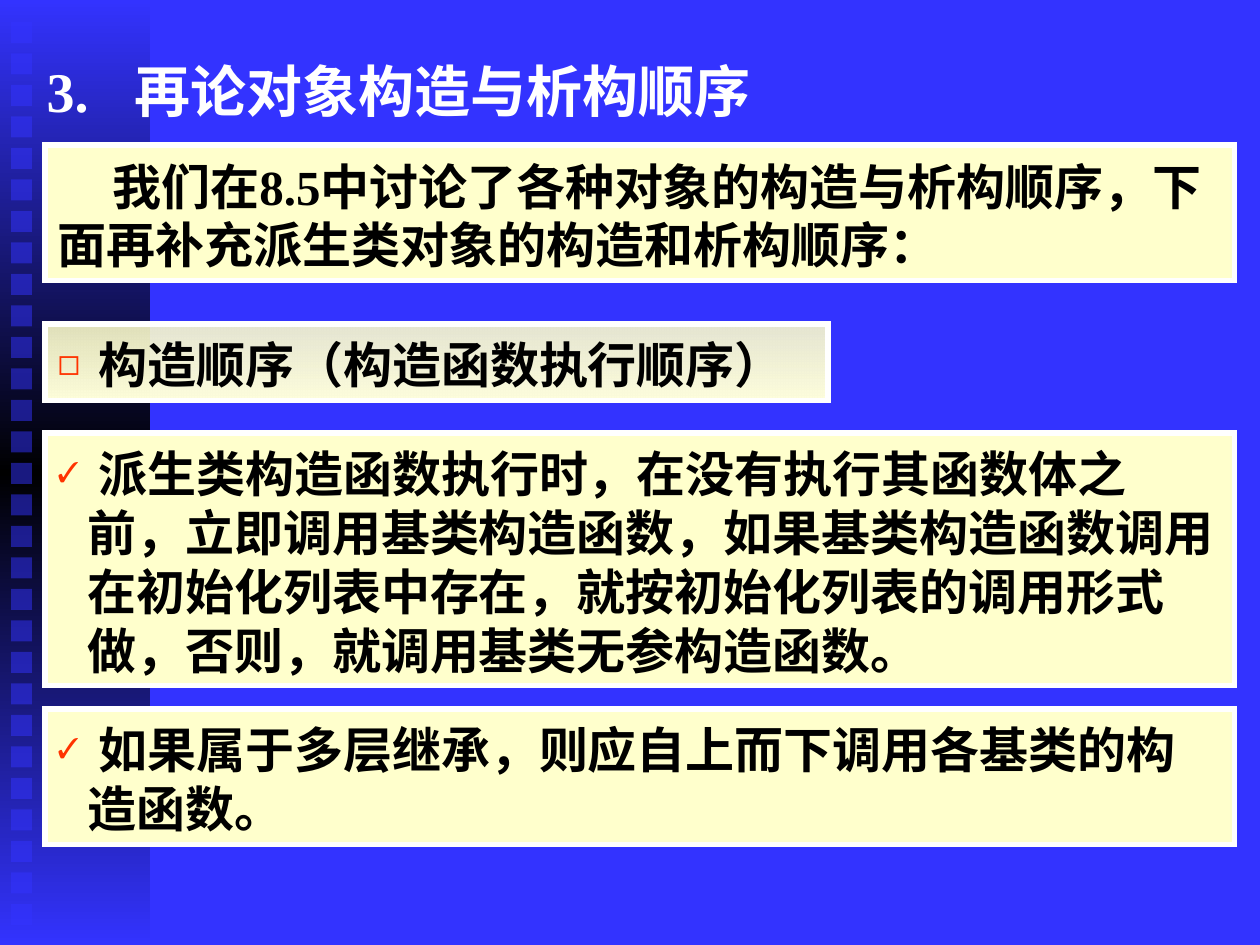
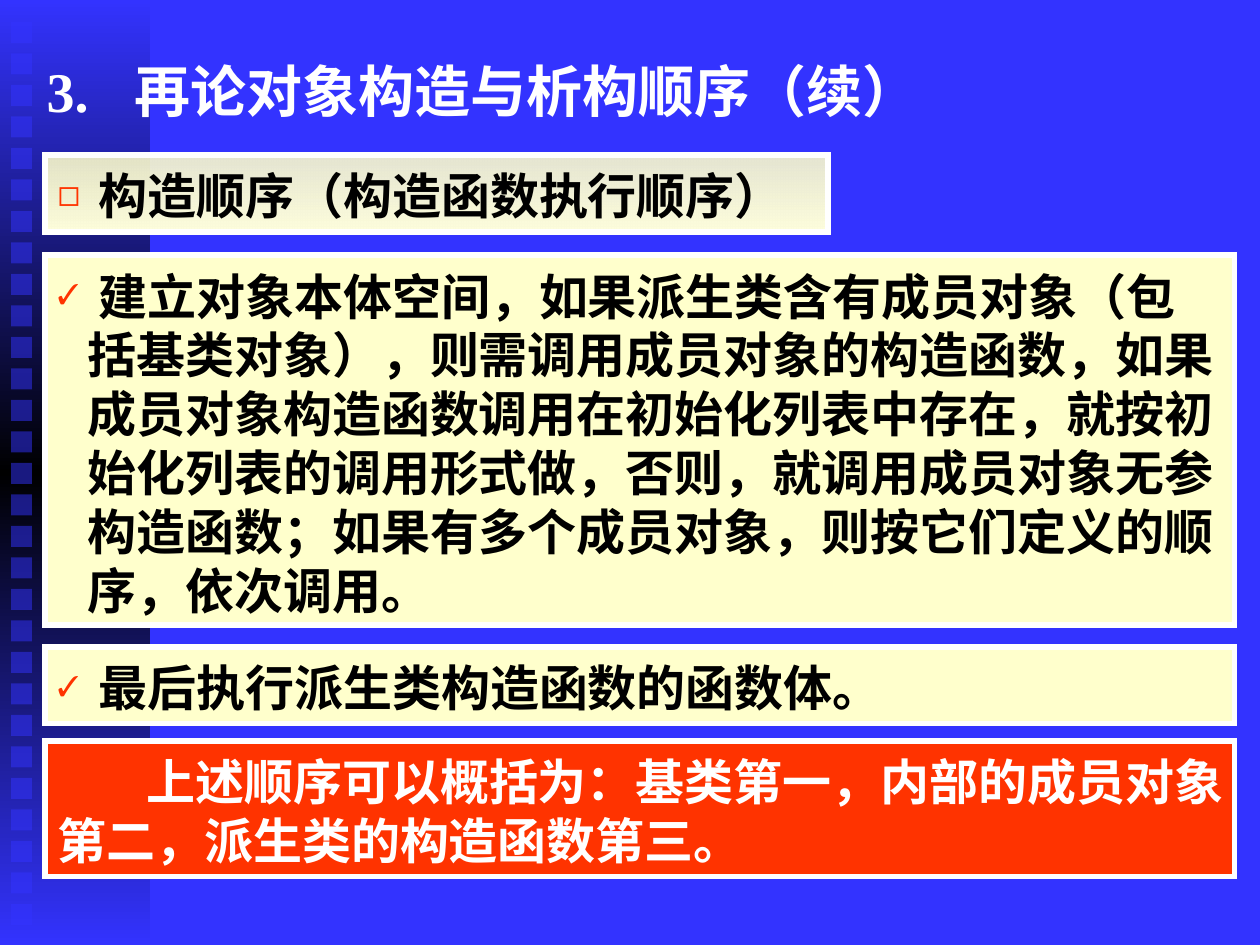
"""Builds two slides on the order in which objects are constructed."""
from dataclasses import dataclass

from lxml import etree
from pptx import Presentation
from pptx.dml.color import RGBColor
from pptx.enum.lang import MSO_LANGUAGE_ID
from pptx.enum.shapes import MSO_SHAPE
from pptx.enum.text import MSO_ANCHOR, MSO_AUTO_SIZE, PP_ALIGN
from pptx.oxml.ns import qn
from pptx.util import Emu, Pt

RECTANGLE = MSO_SHAPE.RECTANGLE
TOP, MIDDLE = MSO_ANCHOR.TOP, MSO_ANCHOR.MIDDLE
LEFT = PP_ALIGN.LEFT
NO_AUTOFIT = MSO_AUTO_SIZE.NONE
CHINESE = MSO_LANGUAGE_ID.SIMPLIFIED_CHINESE
TITLE_ONLY = 5
EMU_PER_PX = 914400 // 126


@dataclass(frozen=True)
class Theme:
    font: str = "Times New Roman"
    blue: str = "3333FF"
    black: str = "000000"
    white: str = "FFFFFF"
    cream: str = "FFFFCC"
    pale_cream: str = "FFFFDB"
    red: str = "FF3300"
    title_size: int = 32
    body_size: int = 28
    border: int = 3


THEME = Theme()

SLIDE_SIZE = (1260, 945)
BAND = (0, 0, 150, 945)
SQUARE_COUNT, SQUARE_LEFT, SQUARE_TOP, SQUARE_SIZE, SQUARE_STEP = 29, 11, 22, 21, 31.5
TITLE = (34, 33, 1181, 115)
TITLE_GAP = 18.3
BOX_LEFT, FIRST_LINE_HEIGHT, LINE_HEIGHT = 45, 77, 58.6

STYLES = {
    "intro": dict(width=1190, fill=THEME.cream, color=THEME.black, text=dict(indent=55)),
    "heading": dict(width=783, color=THEME.black,
                    gradient=[(0, THEME.cream, 87), (100, THEME.pale_cream, 100)],
                    text=dict(bullet="◻", bullet_percent=75, margin=30, indent=-30)),
    "point": dict(width=1190, fill=THEME.cream, color=THEME.black,
                  text=dict(bullet="✓", bullet_percent=58, margin=30, indent=-30,
                            inset_right=15)),
    "summary": dict(width=1190, fill=THEME.red, color=THEME.white,
                    text=dict(indent=89, inset_right=8)),
}

NUMBER = "3."
HEADING = " 构造顺序（构造函数执行顺序）"
SLIDES = [
    ("再论对象构造与析构顺序", [
        ("intro", 145, 2, "我们在8.5中讨论了各种对象的构造与析构顺序，"
                          "下面再补充派生类对象的构造和析构顺序："),
        ("heading", 324, 1, HEADING),
        ("point", 433, 4, " 派生类构造函数执行时，在没有执行其函数体之前，立即调用基类构造函数，"
                          "如果基类构造函数调用在初始化列表中存在，就按初始化列表的调用形式做，"
                          "否则，就调用基类无参构造函数。"),
        ("point", 709, 2, " 如果属于多层继承，则应自上而下调用各基类的构造函数。"),
    ]),
    ("再论对象构造与析构顺序（续）", [
        ("heading", 155, 1, HEADING),
        ("point", 255, 6, " 建立对象本体空间，如果派生类含有成员对象（包括基类对象），"
                          "则需调用成员对象的构造函数，如果成员对象构造函数调用在初始化列表中存在，"
                          "就按初始化列表的调用形式做，否则，就调用成员对象无参构造函数；"
                          "如果有多个成员对象，则按它们定义的顺序，依次调用。"),
        ("point", 647, 1, " 最后执行派生类构造函数的函数体。"),
        ("summary", 741, 2, "上述顺序可以概括为：基类第一，内部的成员对象第二，"
                            "派生类的构造函数第三。"),
    ]),
]


def px(length):
    return Emu(round(length * EMU_PER_PX))


def rgb(code):
    return RGBColor.from_string(code)


def add_child(parent, tag, **attributes):
    return etree.SubElement(parent, qn(tag), {key: str(value) for key, value in attributes.items()})


def set_alpha(color_element, percent):
    if percent < 100:
        add_child(color_element, "a:alpha", val=percent * 1000)


def set_gradient(shape, stops):
    shape.fill.gradient()
    shape.fill.gradient_angle = 270
    stop_list = shape.element.find(".//" + qn("a:gsLst"))
    for stop in list(stop_list):
        stop_list.remove(stop)
    for position, color, alpha in stops:
        stop = add_child(stop_list, "a:gs", pos=position * 1000)
        set_alpha(add_child(stop, "a:srgbClr", val=color), alpha)


def add_rectangle(slide, box, fill=None, gradient=None, alpha=100, border=None):
    shape = slide.shapes.add_shape(RECTANGLE, *map(px, box))
    shape.shadow.inherit = False
    if gradient:
        set_gradient(shape, gradient)
    else:
        shape.fill.solid()
        shape.fill.fore_color.rgb = rgb(fill)
        set_alpha(shape.element.spPr.find(".//" + qn("a:srgbClr")), alpha)
    if border:
        shape.line.color.rgb = rgb(border)
        shape.line.width = Pt(THEME.border)
        add_child(shape.element.spPr.find(qn("a:ln")), "a:miter", lim=800000)
    else:
        shape.line.fill.background()
    return shape


def write_text(shape, *parts, size, color, anchor=TOP, inset_top=6, inset_right=12.6,
               margin=0, indent=0, bullet=None, bullet_percent=100, gap=0):
    frame = shape.text_frame
    frame.word_wrap = True
    frame.auto_size = NO_AUTOFIT
    frame.vertical_anchor = anchor
    frame.margin_left, frame.margin_right = px(12.6), px(inset_right)
    frame.margin_top, frame.margin_bottom = px(inset_top), px(6)
    paragraph = frame.paragraphs[0]
    paragraph.alignment = LEFT
    properties = paragraph._p.get_or_add_pPr()
    properties.set("marL", str(px(margin)))
    properties.set("indent", str(px(indent)))
    properties.set("hangingPunct", "0")
    if bullet:
        add_child(add_child(properties, "a:buClr"), "a:srgbClr", val=THEME.red)
        add_child(properties, "a:buSzPct", val=bullet_percent * 1000)
        add_child(properties, "a:buFont", typeface=THEME.font)
        add_child(properties, "a:buChar", char=bullet)
    for part in parts:
        run = paragraph.add_run()
        run.text = part
        run.font.name = THEME.font
        run.font.size = Pt(size)
        run.font.bold = True
        run.font.color.rgb = rgb(color)
        run.font.language_id = CHINESE
        if part == " ":
            run._r.get_or_add_rPr().set("spc", str(round(gap * 100)))


def decorate_master(master, slide):
    master.background.fill.solid()
    master.background.fill.fore_color.rgb = rgb(THEME.blue)
    band_stops = [(0, THEME.blue, 100), (50, THEME.black, 100), (100, THEME.blue, 100)]
    decorations = [add_rectangle(slide, BAND, gradient=band_stops)]
    for row in range(SQUARE_COUNT):
        square = (SQUARE_LEFT, SQUARE_TOP + row * SQUARE_STEP, SQUARE_SIZE, SQUARE_SIZE)
        decorations.append(add_rectangle(slide, square, fill=THEME.blue, alpha=50))
    for index, shape in enumerate(decorations):
        shape.element.find(".//" + qn("p:cNvPr")).set("id", str(100 + index))
        master.shapes.element.insert(2 + index, shape.element)


def add_title(slide, text):
    title = slide.shapes.title
    title.left, title.top, title.width, title.height = map(px, TITLE)
    write_text(title, NUMBER, " ", text, size=THEME.title_size, color=THEME.white,
               anchor=MIDDLE, gap=TITLE_GAP)


def add_text_box(slide, style_name, top, line_count, text):
    style = STYLES[style_name]
    height = FIRST_LINE_HEIGHT + (line_count - 1) * LINE_HEIGHT
    shape = add_rectangle(slide, (BOX_LEFT, top, style["width"], height), fill=style.get("fill"),
                          gradient=style.get("gradient"), border=THEME.white)
    write_text(shape, text, size=THEME.body_size, color=style["color"], inset_top=11,
               **style["text"])


def main():
    presentation = Presentation()
    presentation.slide_width, presentation.slide_height = map(px, SLIDE_SIZE)
    layout = presentation.slide_layouts[TITLE_ONLY]
    for number, (title, boxes) in enumerate(SLIDES):
        slide = presentation.slides.add_slide(layout)
        if number == 0:
            decorate_master(presentation.slide_master, slide)
        add_title(slide, title)
        for box in boxes:
            add_text_box(slide, *box)
    presentation.save("out.pptx")


if __name__ == "__main__":
    main()
